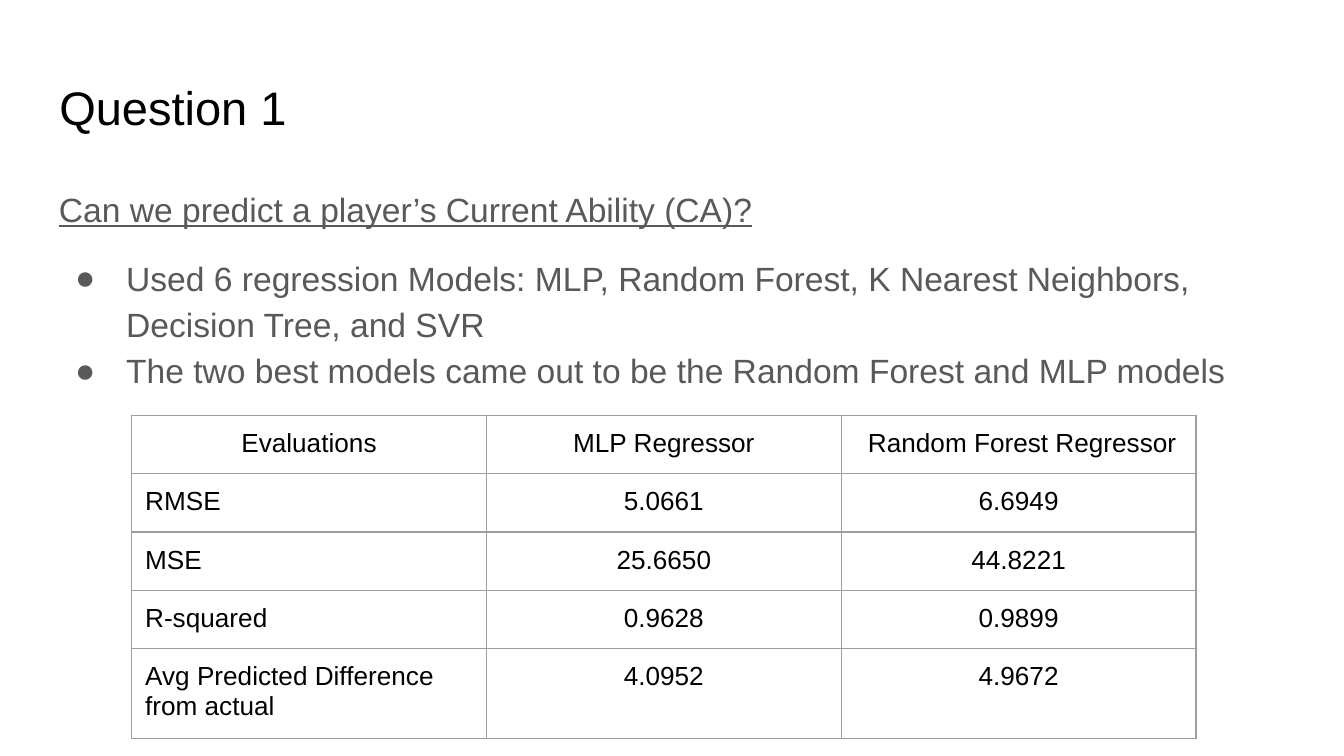
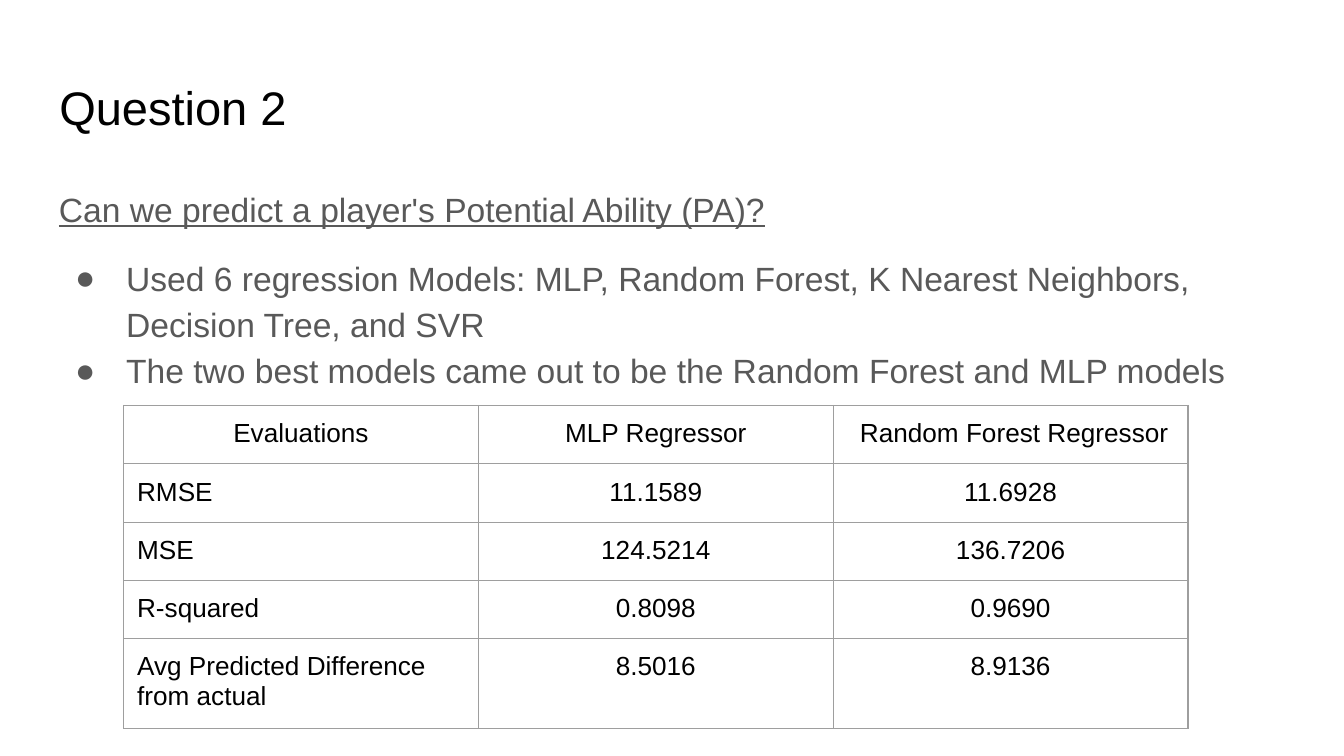
from lxml.etree import SubElement as Sub, Element
from pptx import Presentation
from pptx.dml.color import RGBColor
from pptx.enum.text import MSO_ANCHOR as Anchor, PP_ALIGN as Align
from pptx.oxml.ns import qn
from pptx.util import Inches, Pt

WIDE = Inches(10)
HIGH = WIDE * 9 // 16
PAD = Inches(0.1)
FONT = "Arial"
BLACK = RGBColor(0x00, 0x00, 0x00)
GREY = RGBColor(0x59, 0x59, 0x59)
RULE = RGBColor(0x9E, 0x9E, 0x9E)

LEFT, SPAN = 3.41, 93.18
COL, ROW = 26.4, 7.4
FRAME = Inches(3.28)

POINTS = [
    "Used 6 regression Models: MLP, Random Forest, K Nearest Neighbors, "
    "Decision Tree, and SVR",
    "The two best models came out to be the Random Forest and MLP models",
]
HEADS = ["Evaluations", "MLP Regressor", " Random Forest Regressor"]
SCORES = ["RMSE", "MSE", "R-squared", "Avg Predicted Difference from actual"]


def area(x, y, w, h):
    """Turn percentages of the slide into left, top, width, height."""
    return [int(size * part / 100)
            for size, part in zip((WIDE, HIGH, WIDE, HIGH), (x, y, w, h))]


def write(para, text, size=18, color=GREY, line=None, align=Align.LEFT,
          lead=None, above=None):
    para.alignment = align
    para.line_spacing = lead
    para.space_before = above
    run = para.add_run()
    run.text = text
    font = run.font
    font.name, font.size, font.underline = FONT, Pt(size), line
    font.color.rgb = color


def pad(box):
    """Set equal margins on a text frame or a table cell."""
    box.margin_left = box.margin_right = PAD
    box.margin_top = box.margin_bottom = PAD
    box.vertical_anchor = Anchor.TOP


def add_dot(para):
    props = para._p.get_or_add_pPr()
    props.set("marL", str(Inches(0.5)))
    props.set("indent", str(-Inches(0.38)))
    Sub(Sub(props, qn("a:buClr")), qn("a:srgbClr"), val=str(GREY))
    Sub(props, qn("a:buSzPts"), val="1800")
    Sub(props, qn("a:buFont"), typeface=FONT)
    Sub(props, qn("a:buChar"), char="●")


def add_rules(cell):
    props = cell._tc.get_or_add_tcPr()
    for spot, side in enumerate("LRTB"):
        edge = Element(qn(f"a:ln{side}"), w=str(Pt(0.75)))
        Sub(Sub(edge, qn("a:solidFill")), qn("a:srgbClr"), val=str(RULE))
        props.insert(spot, edge)


def set_title(slide, text):
    title = slide.shapes.title
    title.left, title.top, title.width, title.height = area(
        LEFT, 8.65, SPAN, 11.13)
    pad(title.text_frame)
    title.text_frame.word_wrap = True
    write(title.text_frame.paragraphs[0], text, size=25.2, color=BLACK)


def add_body(slide, ask):
    frame = slide.shapes.add_textbox(*area(LEFT, 22.4, SPAN, 66.4)).text_frame
    pad(frame)
    frame.word_wrap = True
    write(frame.paragraphs[0], ask, line=True, lead=1.15)
    for above, point in zip((Pt(12), Pt(0)), POINTS):
        para = frame.add_paragraph()
        write(para, point, lead=1.15, above=above)
        add_dot(para)


def add_grid(slide, x, y, pairs):
    rows = [HEADS] + [[name, *pair] for name, pair in zip(SCORES, pairs)]
    shape = slide.shapes.add_table(
        len(rows), len(HEADS),
        *area(x, y, COL * len(HEADS), ROW * len(rows)))
    shape.width = shape.height = FRAME
    table = shape.table
    table.first_row = table.horz_banding = False
    for r, row in enumerate(rows):
        for c, text in enumerate(row):
            cell = table.cell(r, c)
            pad(cell)
            cell.fill.background()
            add_rules(cell)
            write(cell.text_frame.paragraphs[0], text, size=14, color=BLACK,
                  align=Align.LEFT if r and not c else Align.CENTER)


def add_page(deck, title, ask, x, y, pairs):
    slide = deck.slides.add_slide(deck.slide_layouts.get_by_name("Title Only"))
    set_title(slide, title)
    add_body(slide, ask)
    add_grid(slide, x, y, pairs)


def main():
    deck = Presentation()
    deck.slide_width, deck.slide_height = WIDE, HIGH
    add_page(deck, "Question 1",
             "Can we predict a player’s Current Ability (CA)?", 9.8, 54.95,
             [("5.0661", "6.6949"), ("25.6650", "44.8221"),
              ("0.9628", "0.9899"), ("4.0952", "4.9672")])
    add_page(deck, "Question 2",
             "Can we predict a player's Potential Ability (PA)?", 9.2, 53.65,
             [("11.1589", "11.6928"), ("124.5214", "136.7206"),
              ("0.8098", "0.9690"), ("8.5016", "8.9136")])
    deck.save("out.pptx")


if __name__ == "__main__":
    main()
